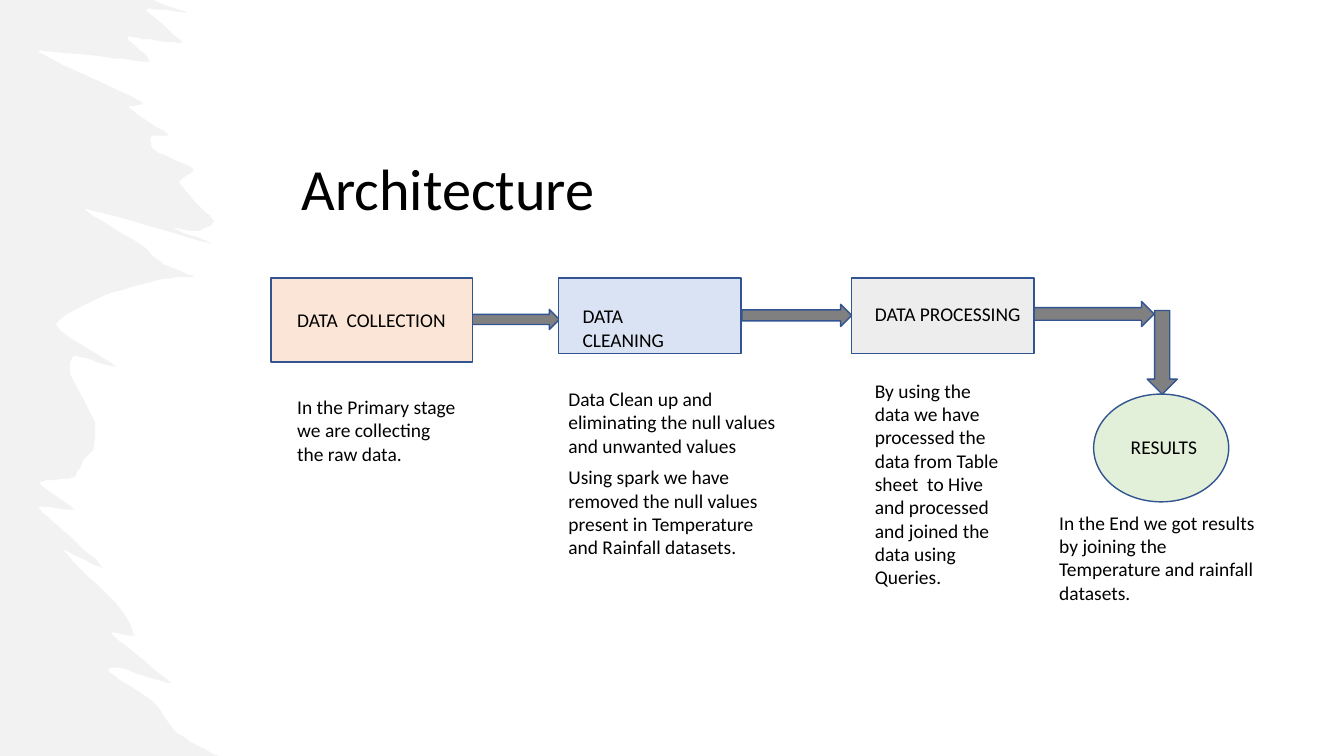
"""Build the Architecture slide: a four-step data flow beside a torn edge."""
from lxml import etree
from pptx import Presentation
from pptx.dml.color import RGBColor
from pptx.enum import shapes, text
from pptx.oxml import ns
from pptx.util import Pt

KIND = shapes.MSO_SHAPE
FONT, INK, EDGE, GREY = "Calibri", "000000", "325491", "808080"
TITLE = ("Architecture", (187.2, 105.1, 265.7, 57.6))

STEPS = [
    (KIND.RECTANGLE, "FBE5D6", (193.7, 198.7, 144, 59.8),
     "DATA  COLLECTION", (205.2, 216.7, 125.3, 23.8),
     ["In the Primary stage we are collecting the raw data."],
     (205.2, 278.6, 130.3, 57.6)),
    (KIND.RECTANGLE, "DAE3F3", (398.9, 198.7, 130.3, 54),
     "DATA CLEANING", (409, 213.8, 104.4, 41),
     ["Data Clean up and eliminating the null values and unwanted values",
      "Using spark we have removed the null values present in Temperature "
      "and Rainfall datasets."],
     (398.9, 272.9, 164.2, 131)),
    (KIND.RECTANGLE, "EDEDED", (608.4, 198.7, 130.3, 54),
     "DATA PROCESSING", (617.8, 212.4, 130.3, 23.8),
     ["By using the data we have processed the data from Table sheet  to Hive "
      "and processed and joined the data using Queries."],
     (617.8, 267.1, 108, 158.4)),
    (KIND.OVAL, "E2F0D9", (781.2, 281.5, 96.5, 77),
     "RESULTS", (800.6, 307.4, 65.5, 23.8),
     ["In the End we got results by joining the Temperature and rainfall "
      "datasets."],
     (749.5, 361.4, 159.8, 74.2)),
]

ARROWS = [
    (KIND.RIGHT_ARROW, (337, 221, 62.6, 14.4)),
    (KIND.RIGHT_ARROW, (529.9, 217.4, 78.5, 15.8)),
    (KIND.RIGHT_ARROW, (738.7, 215.3, 85.7, 18)),
    (KIND.DOWN_ARROW, (819.4, 221.8, 21.6, 59.8)),
]

TEAR = [
    (109, 0), (133, 9), (104, 7), (130, 30), (104, 28), (91, 27), (107, 44),
    (77, 41), (27, 37), (100, 72), (92, 77), (120, 96), (108, 97),
    (110, 107), (138, 121), (128, 130), (140, 145), (153, 158), (142, 165),
    (123, 163), (151, 174), (60, 149), (98, 173), (117, 189), (139, 198),
    (118, 199), (75, 211), (40, 232), (83, 262), (54, 254), (50, 267),
    (68, 302), (66, 322), (60, 328), (52, 341), (28, 345), (53, 364),
    (27, 362), (45, 379), (74, 406), (45, 393), (83, 431), (96, 454),
    (80, 453), (122, 488), (86, 477), (78, 480), (109, 501), (127, 524),
    (156, 540),
]


def color(code):
    return RGBColor.from_string(code)


def paint(shape, fill, line=None):
    shape.shadow.inherit = False
    shape.fill.solid()
    shape.fill.fore_color.rgb = color(fill)
    if line:
        shape.line.color.rgb = color(line)
        shape.line.width = Pt(1)
    else:
        shape.line.fill.background()


def write(shape, paras, size, align=text.PP_ALIGN.LEFT):
    frame = shape.text_frame
    frame.word_wrap = True
    frame.auto_size = text.MSO_AUTO_SIZE.NONE
    frame.vertical_anchor = text.MSO_ANCHOR.TOP
    for i, words in enumerate(paras):
        para = frame.add_paragraph() if i else frame.paragraphs[0]
        para.alignment = align
        para.space_after = Pt(6)
        run = para.add_run()
        run.text = words
        run.font.name, run.font.size = FONT, Pt(size)
        run.font.color.rgb = color(INK)


def smooth(knots, count=6, pull=0.3):
    ends = [knots[0], *knots, knots[-1]]
    for a, b, c, d in zip(ends, ends[1:], ends[2:], ends[3:]):
        for i in range(1, count + 1):
            t = i / count
            rise = t * t * (3 - 2 * t)
            out, back = t * (1 - t) ** 2, t * t * (t - 1)
            yield tuple(q + (r - q) * rise
                        + pull * ((r - p) * out + (s - q) * back)
                        for p, q, r, s in zip(a, b, c, d))


def tear(slide):
    path = slide.shapes.build_freeform(0, 0, scale=Pt(1))
    path.add_line_segments([TEAR[0], *smooth(TEAR), (0, 540)], close=True)
    shape = path.convert_to_shape()
    paint(shape, "E7E6E6")
    tone = shape.fill._xPr.find(".//" + ns.qn("a:srgbClr"))
    etree.SubElement(tone, ns.qn("a:alpha")).set("val", "50000")


def draw(slide, kind, box, fill):
    paint(slide.shapes.add_shape(kind, *map(Pt, box)), fill, EDGE)


def note(slide, paras, box):
    write(slide.shapes.add_textbox(*map(Pt, box)), paras, 13.9)


def main():
    deck = Presentation()
    deck.slide_width, deck.slide_height = Pt(960), Pt(540)
    slide = deck.slides.add_slide(deck.slide_layouts[5])
    tear(slide)
    words, box = TITLE
    head = slide.shapes.title
    head.left, head.top, head.width, head.height = map(Pt, box)
    write(head, [words], 41.6, text.PP_ALIGN.CENTER)
    for kind, box in ARROWS:
        draw(slide, kind, box, GREY)
    for kind, fill, box, label, spot, paras, area in STEPS:
        draw(slide, kind, box, fill)
        note(slide, [label], spot)
        note(slide, paras, area)
    deck.save("out.pptx")


if __name__ == "__main__":
    main()
